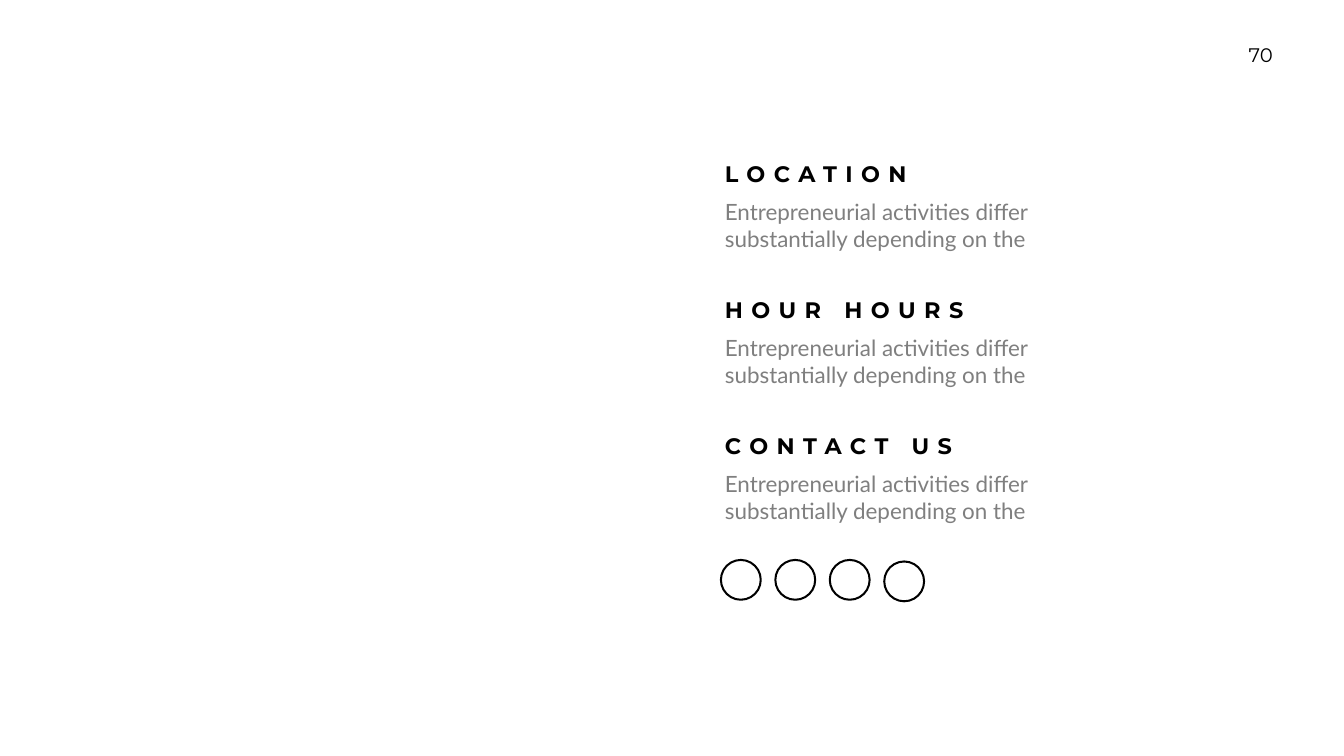
from pptx import Presentation
from pptx.dml.color import RGBColor
from pptx.enum import shapes
from pptx.util import Inches, Pt

BLACK = RGBColor(0x00, 0x00, 0x00)
GREY = RGBColor(0x7F, 0x7F, 0x7F)

PAGE_NUMBER = "70"
BLURB = "Entrepreneurial activities differ substantially depending on the"
SECTIONS = [
    ("LOCATION", BLURB),
    ("HOUR HOURS", BLURB),
    ("CONTACT US", BLURB),
]
SOCIAL_RING_TOPS = [11.09, 11.09, 11.09, 11.12]

LEFT = 14.28
COLUMN_WIDTH = 6.24
FIRST_TOP, SECTION_PITCH = 3.12, 2.7
BLURB_OFFSET = 0.76
RING_SIZE, RING_LINE, RING_PITCH = 0.83, 0.04, 1.08


def add_text(page, words, left, top, width, height, font, size, color,
             bold=False, spacing=0, inset=(0.1, 0.05)):
    """Add a one-run text box; spacing is the letter spacing in points."""
    box = page.shapes.add_textbox(Inches(left), Inches(top), Inches(width), Inches(height))
    frame = box.text_frame
    frame.word_wrap = True
    frame.margin_left = frame.margin_right = Inches(inset[0])
    frame.margin_top = frame.margin_bottom = Inches(inset[1])
    span = frame.paragraphs[0].add_run()
    span.text = words
    span.font.name = font
    span.font.size = Pt(size)
    span.font.bold = bold
    span.font.color.rgb = color
    if spacing:
        span.font._element.set("spc", str(spacing * 100))


def add_ring(page, left, top):
    """Add a plain ring whose outer edge fills RING_SIZE."""
    edge = RING_LINE / 2
    size = Inches(RING_SIZE - RING_LINE)
    ring = page.shapes.add_shape(
        shapes.MSO_SHAPE.OVAL, Inches(left + edge), Inches(top + edge), size, size)
    ring.shadow.inherit = False
    ring.fill.background()
    ring.line.color.rgb = BLACK
    ring.line.width = Inches(RING_LINE)


def main():
    deck = Presentation()
    deck.slide_width, deck.slide_height = Inches(26.66), Inches(15)
    page = deck.slides.add_slide(deck.slide_layouts.get_by_name("Blank"))

    add_text(page, PAGE_NUMBER, 24.57, 0.76, 1.12, 0.67,
             "Montserrat", 28, BLACK, inset=(0.2, 0.1))

    for index, (heading, blurb) in enumerate(SECTIONS):
        top = FIRST_TOP + index * SECTION_PITCH
        add_text(page, heading, LEFT, top, COLUMN_WIDTH, 0.64,
                 "Montserrat", 32, BLACK, bold=True, spacing=12)
        add_text(page, blurb, LEFT, top + BLURB_OFFSET, COLUMN_WIDTH, 1.18,
                 "Lato", 32, GREY)

    for index, top in enumerate(SOCIAL_RING_TOPS):
        add_ring(page, LEFT + index * RING_PITCH, top)

    deck.save("out.pptx")


if __name__ == "__main__":
    main()
